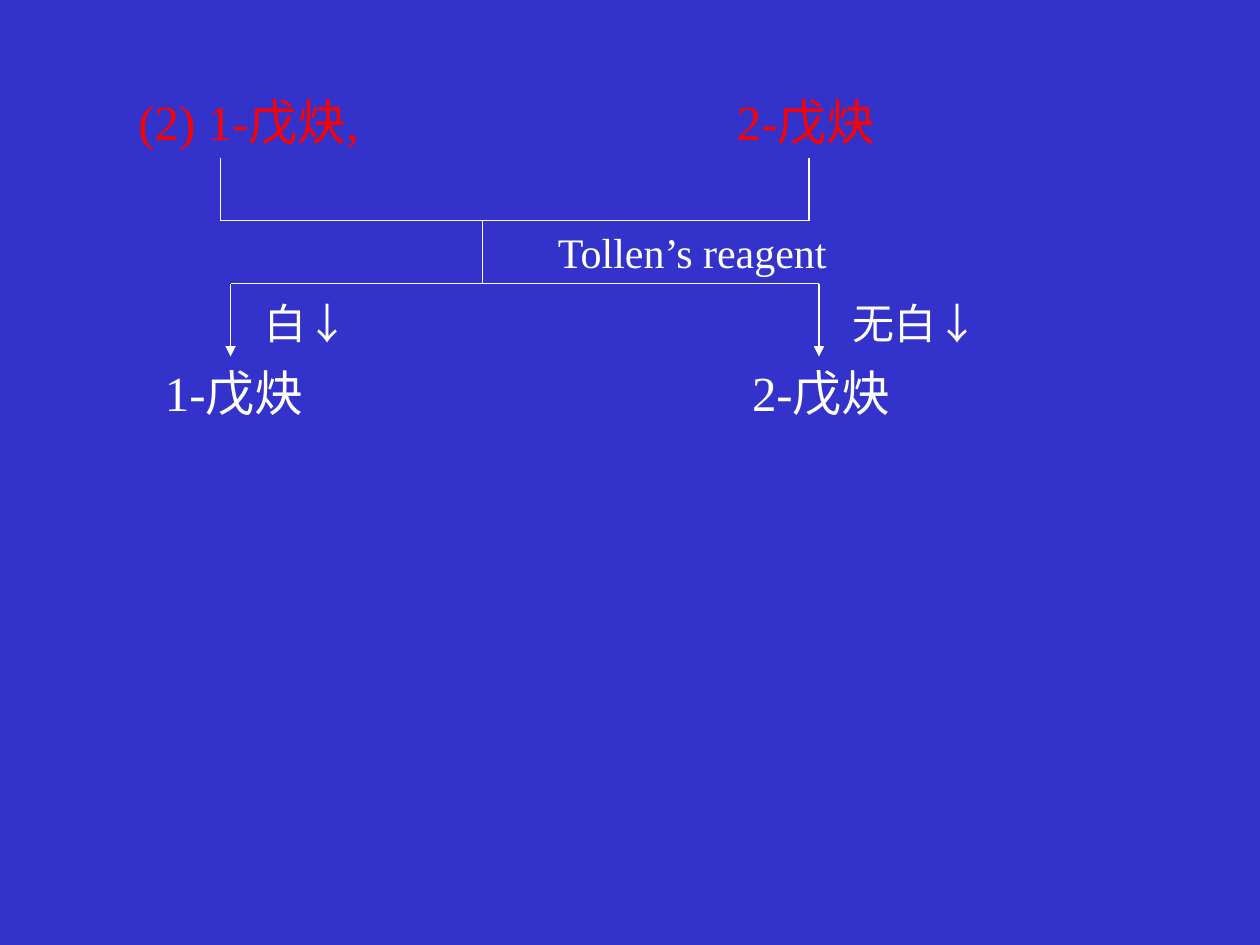
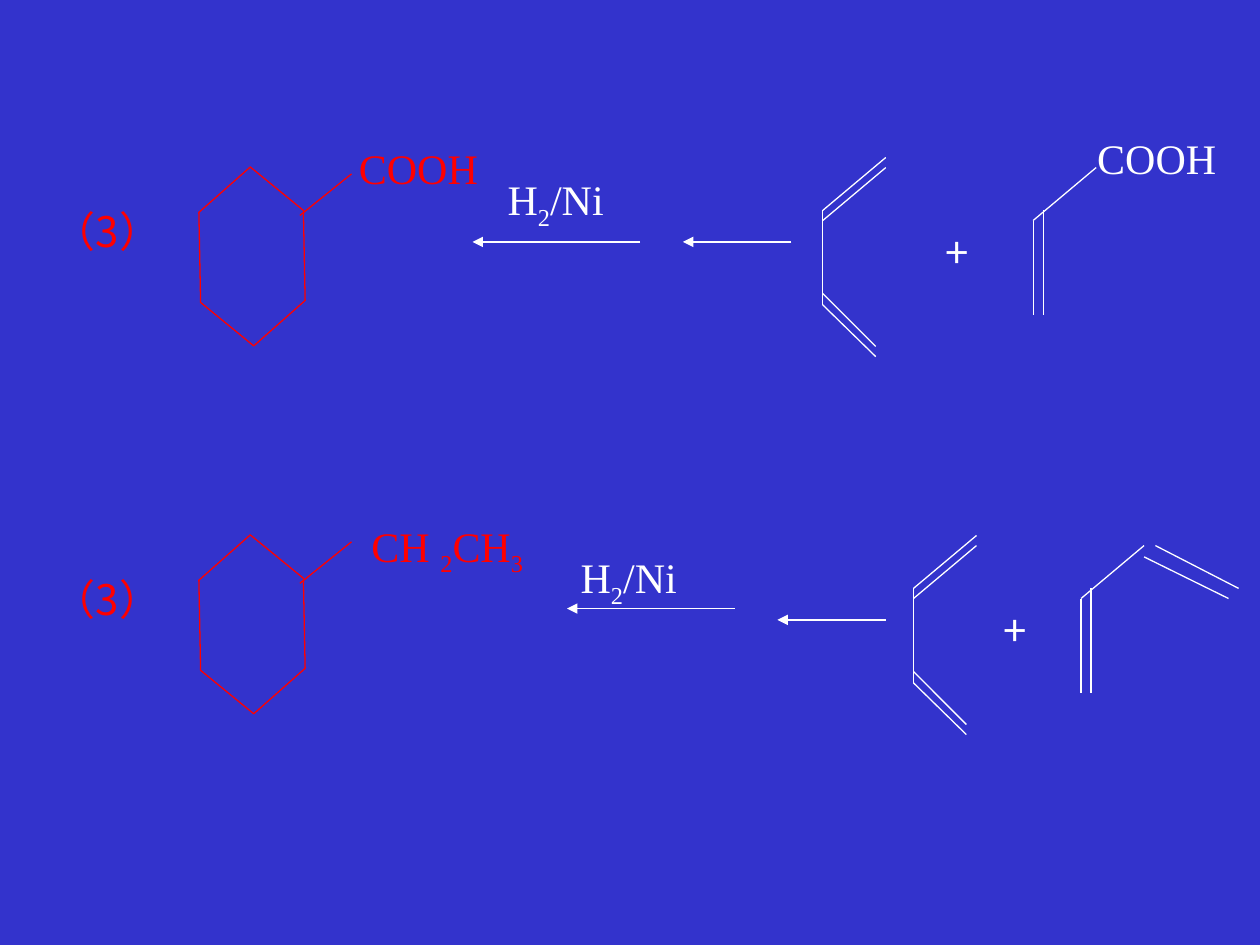
from lxml import etree
from pptx import Presentation
from pptx.dml.color import RGBColor
from pptx.enum.shapes import MSO_CONNECTOR, MSO_SHAPE
from pptx.enum.text import MSO_AUTO_SIZE
from pptx.oxml.ns import qn
from pptx.util import Inches, Pt

STRAIGHT = MSO_CONNECTOR.STRAIGHT
HEXAGON = MSO_SHAPE.HEXAGON
FIT_SHAPE = MSO_AUTO_SIZE.SHAPE_TO_FIT_TEXT

THEME = {
    "blue": RGBColor(0x33, 0x33, 0xCC),
    "red": RGBColor(0xFF, 0, 0),
    "white": RGBColor(0xFF, 0xFF, 0xFF),
    "latin": "Times New Roman",
    "cjk": "Noto Sans CJK SC",
    "large": 28,
    "body": 24,
    "line": 0.75,
}

# Content. Labels are (text, box, format); text between ~ marks is subscript.
LARGE = {"size": "large"}
TEST_LABELS = [
    ("(2) 1-戊炔,\t2-戊炔", (1, 0.68, 7, 0.59),
     {"size": "large", "color": "red", "wrap": True, "tab": 4.75}),
    ("Tollen’s reagent", (4.33, 1.75, 2.4, 0.5), {}),
    ("白↓", (2, 2.31, 0.9, 0.5), {}),
    ("无白↓", (6.67, 2.31, 1.23, 0.5), {}),
    ("1-戊炔", (1.21, 2.83, 1.42, 0.57), LARGE),
    ("2-戊炔", (5.87, 2.83, 1.42, 0.57), LARGE),
]
# Test tree: left and right ends of each level, and its heights
SAMPLES = {"left": 1.75, "right": 6.42, "top": 1.25, "bar": 1.75}
RESULTS = {"left": 1.83, "right": 6.5, "bar": 2.25, "tip": 2.83}
STEM_X = 3.83

# Bonds (x1, y1, x2, y2), measured from the top left of each molecule
DIENE = [(0.5, 0, 0, 0.42), (0, 0.42, 0, 1.17), (0, 1.17, 0.42, 1.58),
         (0, 1.08, 0.42, 1.5), (0.5, 0.08, 0, 0.5)]
ALKENE = [(0.5, 0, 0, 0.42), (0, 0.42, 0, 1.17), (0.08, 0.34, 0.08, 1.17)]
VINYL = [(0.59, 0, 1.25, 0.34), (0.5, 0.09, 1.17, 0.42)]

REACTIONS = [
    {"number": "（3）", "y": 1.58,
     "group": ("COOH", (2.75, 1.08, 1.18, 0.5)),
     "reagent": ("H~2~/Ni", (3.93, 1.33, 0.99, 0.56)),
     "arrows": [(5.08, 1.92, 3.75, 1.92), (6.28, 1.92, 5.42, 1.92)],
     "molecules": [(DIENE, 6.53, 1.25), (ALKENE, 8.2, 1.33)],
     "plus": (7.41, 1.75),
     "extra": [("COOH", (8.61, 1, 1.18, 0.5))]},
    {"number": "（3）", "y": 4.5,
     "group": ("CH ~2~CH~3~", (2.85, 4.08, 1.43, 0.56)),
     "reagent": ("H~2~/Ni", (4.51, 4.33, 0.99, 0.56)),
     "arrows": [(5.83, 4.83, 4.5, 4.83), (7.03, 4.92, 6.17, 4.92)],
     "molecules": [(DIENE, 7.25, 4.25), (ALKENE + VINYL, 8.58, 4.33)],
     "plus": (7.87, 4.75),
     "extra": []},
]


def add_slide(prs):
    s = prs.slides.add_slide(prs.slide_layouts[6])
    s.background.fill.solid()
    s.background.fill.fore_color.rgb = THEME["blue"]
    return s


def add_label(s, text, box, size="body", color="white", font="latin",
              wrap=False, tab=None):
    tf = s.shapes.add_textbox(*map(Inches, box)).text_frame
    tf.word_wrap = wrap
    tf.auto_size = FIT_SHAPE
    p = tf.paragraphs[0]
    if tab:
        tabs = etree.SubElement(p._p.get_or_add_pPr(), qn("a:tabLst"))
        etree.SubElement(tabs, qn("a:tab"), pos=str(Inches(tab)), algn="l")
    for i, part in enumerate(text.split("~")):
        if not part:
            continue
        r = p.add_run()
        r.text = part
        for name, value in {"size": Pt(THEME[size]), "name": THEME[font]}.items():
            setattr(r.font, name, value)
        r.font.color.rgb = THEME[color]
        rpr = r._r.get_or_add_rPr()
        etree.SubElement(rpr, qn("a:ea"), typeface=THEME["cjk"])
        if i % 2:
            rpr.set("baseline", "-25000")


def add_line(s, ends, color="white", arrow=False):
    line = s.shapes.add_connector(STRAIGHT, *map(Inches, ends))
    line.line.color.rgb = THEME[color]
    line.line.width = Pt(THEME["line"])
    if arrow:
        etree.SubElement(line.line._get_or_add_ln(), qn("a:tailEnd"), type="triangle")
    etree.SubElement(line._element.spPr, qn("a:effectLst"))


def add_ring(s, y):
    """Six-membered ring with one bond to its side group."""
    sp = s.shapes.add_shape(HEXAGON, *map(Inches, (1.29, y + 0.04, 1.42, 0.83)))
    sp.rotation = 88.9
    sp.adjustments[0], sp.adjustments[1] = 0.425, 1.155
    sp.shadow.inherit = False
    sp.fill.solid()
    sp.fill.fore_color.rgb = THEME["blue"]
    sp.line.color.rgb = THEME["red"]
    sp.line.width = Pt(THEME["line"])
    add_line(s, (2.79, y - 0.2, 2.38, y + 0.13), "red")


def build_test(prs):
    s = add_slide(prs)
    top, bar = SAMPLES["top"], SAMPLES["bar"]
    split, tip = RESULTS["bar"], RESULTS["tip"]
    for side in ("left", "right"):
        add_line(s, (SAMPLES[side], top, SAMPLES[side], bar))
        add_line(s, (RESULTS[side], split, RESULTS[side], tip), arrow=True)
    for level in (SAMPLES, RESULTS):
        add_line(s, (level["left"], level["bar"], level["right"], level["bar"]))
    add_line(s, (STEM_X, bar, STEM_X, split))
    for text, box, fmt in TEST_LABELS:
        add_label(s, text, box, **fmt)


def build_synthesis(prs):
    s = add_slide(prs)
    for rx in REACTIONS:
        # Target molecule
        add_label(s, rx["number"], (0.33, rx["y"], 1.23, 0.5), color="red", font="cjk")
        add_ring(s, rx["y"])
        add_label(s, *rx["group"], color="red")
        # Steps back to the starting materials
        for ends in rx["arrows"]:
            add_line(s, ends, arrow=True)
        for bonds, x, y in rx["molecules"]:
            for x1, y1, x2, y2 in bonds:
                add_line(s, (x + x1, y + y1, x + x2, y + y2))
        add_label(s, "+", (*rx["plus"], 0.4, 0.5), font="cjk")
        for text, box in [rx["reagent"], *rx["extra"]]:
            add_label(s, text, box)


def main():
    prs = Presentation()
    prs.slide_width, prs.slide_height = Inches(10), Inches(7.5)
    build_test(prs)
    build_synthesis(prs)
    prs.save("out.pptx")


if __name__ == "__main__":
    main()
